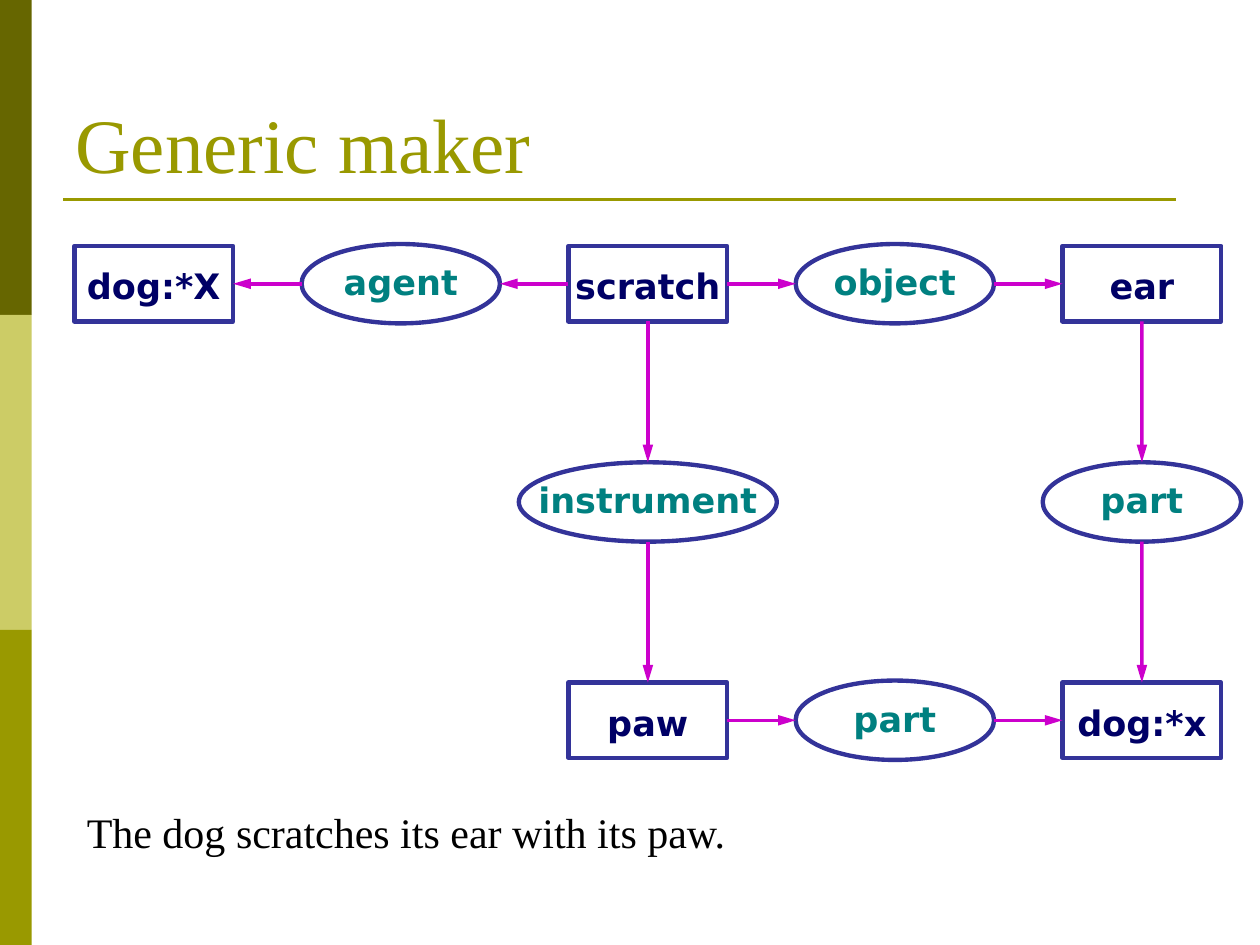
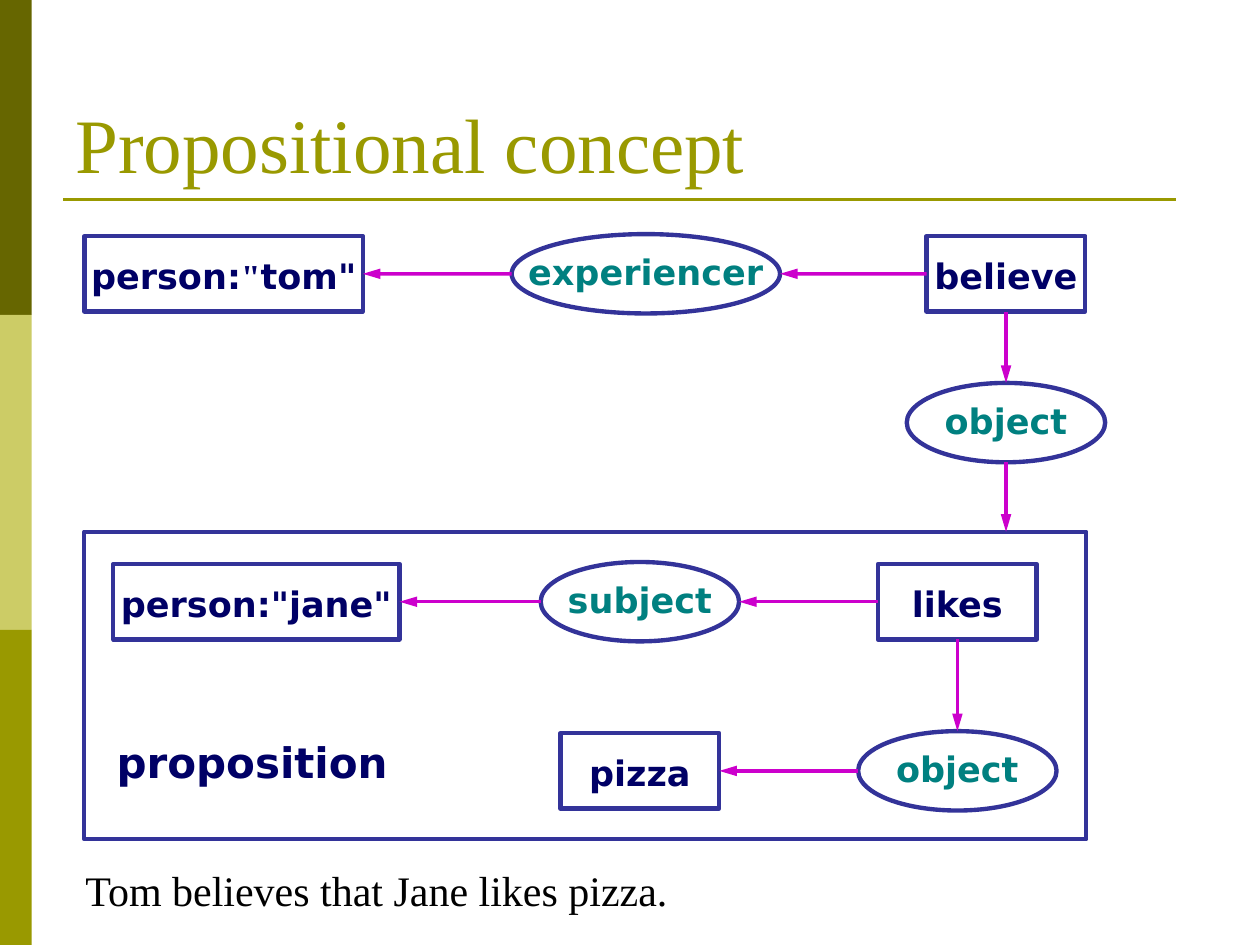
from dataclasses import dataclass
from typing import NamedTuple

from lxml import etree
from pptx import Presentation
from pptx.dml.color import RGBColor
from pptx.enum.shapes import MSO_CONNECTOR, MSO_SHAPE
from pptx.enum.text import MSO_ANCHOR, PP_ALIGN
from pptx.oxml.ns import qn
from pptx.util import Cm, Pt

RECTANGLE = MSO_SHAPE.RECTANGLE
OVAL = MSO_SHAPE.OVAL
STRAIGHT = MSO_CONNECTOR.STRAIGHT
LEFT = PP_ALIGN.LEFT
CENTER = PP_ALIGN.CENTER
TOP = MSO_ANCHOR.TOP
MIDDLE = MSO_ANCHOR.MIDDLE
BOTTOM = MSO_ANCHOR.BOTTOM

SERIF = "Times New Roman"
SANS = "DejaVu Sans"
OLIVE = "999900"
BANDS = ("666600", "CCCC66", OLIVE)
BAND_HEIGHT = 6.35
OUTLINE = "333399"
ARROW = "CC00CC"
CONCEPT_INK = "000066"
RELATION_INK = "008080"
BLACK = "000000"


class Run(NamedTuple):
    text: str
    font: str


@dataclass(frozen=True)
class Node:
    x: float
    y: float
    text: str | tuple[Run, ...] = ""
    width: float = 3.2
    height: float = 1.52
    relation: bool = False


def relation(x: float, y: float, text: str, width: float = 4.0) -> Node:
    return Node(x, y, text, width, 1.6, True)


def colour(value: str) -> RGBColor:
    return RGBColor.from_string(value)


def write(frame, text, *, size, ink, font=SERIF, bold=False, align=LEFT,
          anchor=TOP, wrap=True):
    frame.word_wrap = wrap
    frame.vertical_anchor = anchor
    paragraph = frame.paragraphs[0]
    paragraph.alignment = align
    for part in (Run(text, font),) if isinstance(text, str) else text:
        run = paragraph.add_run()
        run.text = part.text
        run.font.name = part.font
        run.font.size = Pt(size)
        run.font.bold = bold
        run.font.color.rgb = colour(ink)


def add_text(slide, text, left, top, width, height, **style):
    box = slide.shapes.add_textbox(Cm(left), Cm(top), Cm(width), Cm(height))
    write(box.text_frame, text, **style)


def add_line(slide, start, end, ink, weight):
    line = slide.shapes.add_connector(STRAIGHT, *map(Cm, start + end))
    line.line.color.rgb = colour(ink)
    line.line.width = Pt(weight)
    etree.SubElement(line._element.spPr, qn("a:effectLst"))
    return line


def add_node(slide, node: Node):
    shape = slide.shapes.add_shape(
        OVAL if node.relation else RECTANGLE,
        Cm(node.x - node.width / 2), Cm(node.y - node.height / 2),
        Cm(node.width), Cm(node.height))
    shape.shadow.inherit = False
    shape.fill.background()
    shape.line.color.rgb = colour(OUTLINE)
    shape.line.width = Pt(2.5)
    if node.text:
        frame = shape.text_frame
        frame.margin_left = frame.margin_right = 0
        frame.margin_top = Cm(0 if node.relation else 0.08)
        frame.margin_bottom = Cm(0.08 if node.relation else 0)
        write(frame, node.text, size=20, font=SANS, bold=True,
              ink=RELATION_INK if node.relation else CONCEPT_INK,
              align=CENTER, anchor=MIDDLE, wrap=False)
    return shape


def add_arrow(slide, source: Node, target: Node, shapes):
    if source.y == target.y:
        way = 1 if target.x > source.x else -1
        start = (source.x + way * source.width / 2, source.y)
        end = (target.x - way * target.width / 2, source.y)
        sites = (3, 1) if way > 0 else (1, 3)
    else:
        start = (source.x, source.y + source.height / 2)
        end = (source.x, target.y - target.height / 2)
        sites = (2, 0)
    arrow = add_line(slide, start, end, ARROW, 2)
    etree.SubElement(arrow.line._get_or_add_ln(), qn("a:tailEnd"),
                     type="triangle", w="med", len="lg")
    if not source.relation:
        arrow.begin_connect(shapes[source], sites[0])
    if not target.relation and (source.x == target.x or source.y == target.y):
        arrow.end_connect(shapes[target], sites[1])


def add_graph(slide, *chains: tuple[Node, ...]):
    nodes = dict.fromkeys(node for chain in chains for node in chain)
    shapes = {node: add_node(slide, node) for node in nodes}
    for chain in chains:
        for source, target in zip(chain, chain[1:]):
            add_arrow(slide, source, target, shapes)


def add_slide(deck, title: str):
    slide = deck.slides.add_slide(deck.slide_layouts[6])
    for index, fill in enumerate(BANDS):
        band = slide.shapes.add_shape(
            RECTANGLE, 0, Cm(index * BAND_HEIGHT), Cm(0.64), Cm(BAND_HEIGHT))
        band.shadow.inherit = False
        band.fill.solid()
        band.fill.fore_color.rgb = colour(fill)
        band.line.fill.background()
    add_line(slide, (1.27, 4.02), (23.7, 4.02), OLIVE, 1.5)
    add_text(slide, title, 1.27, 0.76, 22.86, 3.18,
             size=44, ink=OLIVE, anchor=BOTTOM)
    return slide


def build_generic_marker(deck):
    slide = add_slide(deck, "Generic maker")
    columns = [round(3.1 + 4.98 * i, 2) for i in range(5)]
    top, middle, bottom = [round(5.72 + 4.4 * i, 2) for i in range(3)]
    scratch = Node(columns[2], top, "scratch")
    paw = Node(columns[2], bottom, "paw")
    ear = Node(columns[4], top, "ear")
    dog = Node(columns[4], bottom, "dog:*x")
    add_graph(
        slide,
        (scratch, relation(columns[1], top, "agent"),
         Node(columns[0], top, "dog:*X")),
        (scratch, relation(columns[3], top, "object"), ear),
        (scratch, relation(columns[2], middle, "instrument", 5.2), paw),
        (ear, relation(columns[4], middle, "part"), dog),
        (paw, relation(columns[3], bottom, "part"), dog))
    add_text(slide, "The dog scratches its ear with its paw.",
             1.5, 16.13, 13.8, 1.27, size=24, ink=BLACK)


def build_propositional_concept(deck):
    slide = add_slide(deck, "Propositional concept")
    belief_x, likes_x, inner_x = 20.28, 19.3, 12.9
    belief_y, likes_y, pizza_y = 5.52, 12.13, 15.54
    proposition = Node(11.8, 13.82, width=20.2, height=6.2)
    believe = Node(belief_x, belief_y, "believe")
    likes = Node(likes_x, likes_y, "likes")
    tom = (Run("person:", SANS), Run('"', SERIF), Run('tom"', SANS))
    add_graph(
        slide,
        (believe, relation(belief_x, 8.52, "object"), proposition),
        (believe, relation(13.02, belief_y, "experiencer", 5.41),
         Node(4.51, belief_y, tom, 5.61)),
        (likes, relation(inner_x, likes_y, "subject"),
         Node(5.17, likes_y, 'person:"jane"', 5.77)),
        (likes, relation(likes_x, pizza_y, "object"),
         Node(inner_x, pizza_y, "pizza")))
    add_text(slide, "proposition", 2.1, 14.73, 6.2, 1.27,
             size=24, ink=CONCEPT_INK, font=SANS, bold=True)
    add_text(slide, "Tom believes that Jane likes pizza.",
             1.47, 17.3, 15.44, 1.27, size=24, ink=BLACK)


def main():
    deck = Presentation()
    deck.slide_width = Cm(25.4)
    deck.slide_height = Cm(19.05)
    build_generic_marker(deck)
    build_propositional_concept(deck)
    deck.save("out.pptx")


if __name__ == "__main__":
    main()
